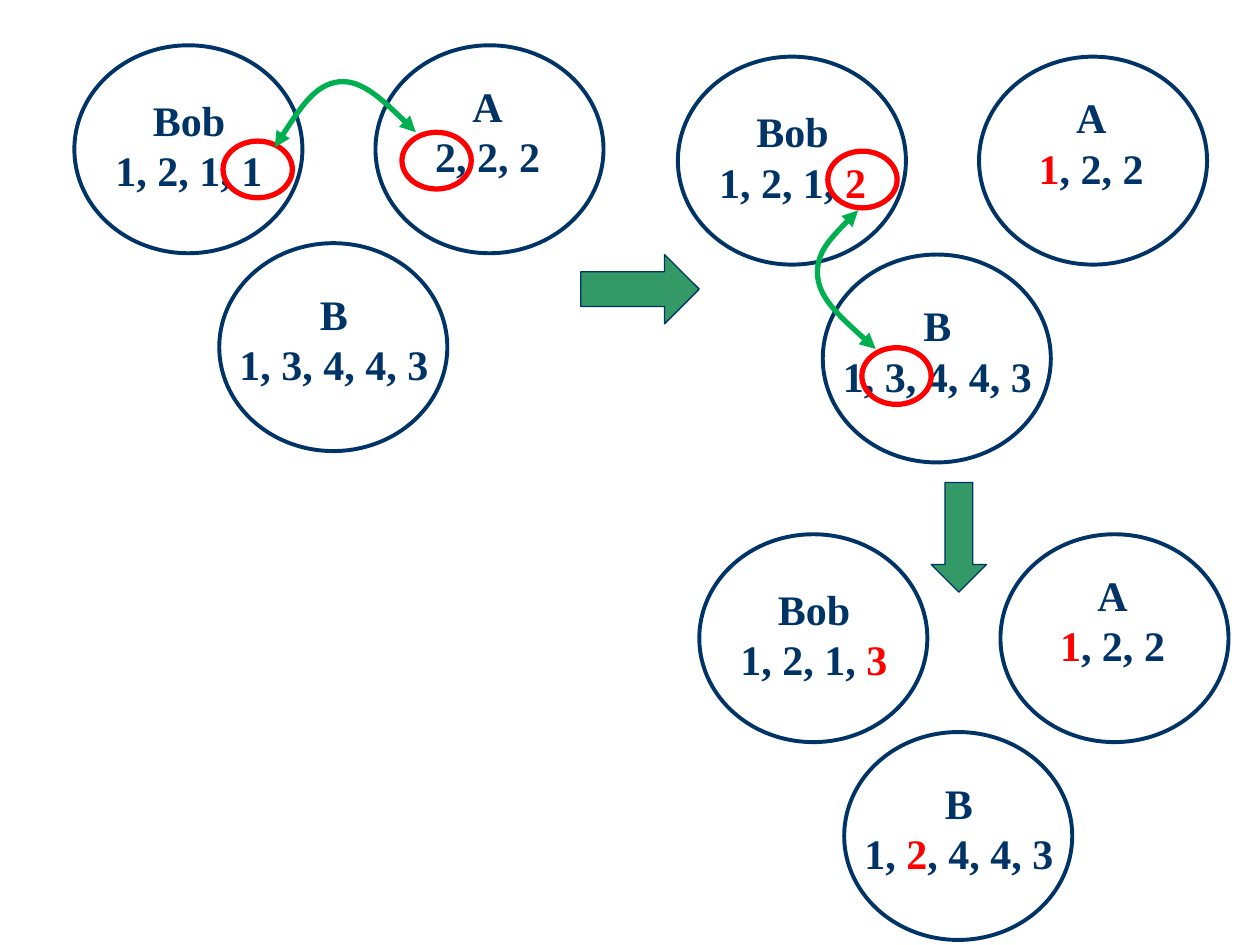
from dataclasses import dataclass

from lxml import etree
from pptx import Presentation
from pptx.dml.color import RGBColor
from pptx.enum.shapes import MSO_SHAPE
from pptx.enum.text import MSO_AUTO_SIZE, MSO_ANCHOR, PP_ALIGN
from pptx.oxml.ns import qn
from pptx.util import Inches, Pt

OVAL = MSO_SHAPE.OVAL
RIGHT = MSO_SHAPE.RIGHT_ARROW
DOWN = MSO_SHAPE.DOWN_ARROW
GROW = MSO_AUTO_SIZE.SHAPE_TO_FIT_TEXT
TOP = MSO_ANCHOR.TOP
CENTER = PP_ALIGN.CENTER


@dataclass(frozen=True)
class Theme:
    """Colours, font and sizes of the slide."""
    navy: RGBColor = RGBColor(0x00, 0x33, 0x66)
    red: RGBColor = RGBColor(0xFF, 0x00, 0x00)
    green: RGBColor = RGBColor(0x00, 0xB0, 0x50)
    arrow: RGBColor = RGBColor(0x33, 0x99, 0x66)
    font: str = "Times New Roman"
    size: float = 24
    thin: float = 0.75
    ring: float = 2.25
    thick: float = 3


THEME = Theme()

NODES = (
    ((0, 0), (0.22, 0.34, 1.38, 0.91)),
    ((2.39, 0), (2.76, 0.23, 1.04, 0.91)),
    ((1.15, 1.57), (1.2, 1.88, 1.72, 0.91)),
)
NAMES = ("Bob", "A", "B")
STAGES = (
    ((0.59, 0.36), ("1, 2, 1, 1", "2, 2, 2", "1, 3, 4, 4, 3")),
    ((5.38, 0.45), ("1, 2, 1, *2*", "*1*, 2, 2", "1, 3, 4, 4, 3")),
    ((5.55, 4.24), ("1, 2, 1, *3*", "*1*, 2, 2", "1, *2*, 4, 4, 3")),
)
MARKS = ((3.19, 1.05), (1.77, 1.12), (6.57, 1.2), (6.84, 2.76))
SWAPS = (
    ((2.18, 1.17), (2.34, 0.92), (2.5, 0.67), (2.69, 0.65),
     (2.87, 0.63), (3.09, 0.84), (3.3, 1.05)),
    ((6.81, 1.67), (6.64, 1.84), (6.47, 2.01), (6.49, 2.2),
     (6.51, 2.38), (6.73, 2.57), (6.95, 2.77)),
)
STEPS = ((RIGHT, (4.61, 2.02, 0.94, 0.55)), (DOWN, (7.39, 3.83, 0.44, 0.87)))


def apply(item, form):
    """Set each attribute named in a dict of format values."""
    for name, value in form.items():
        setattr(item, name, value)


def style(shape, color, width, fill=None):
    """Give a shape its line and fill, without shadow."""
    shape.shadow.inherit = False
    shape.line.color.rgb = color
    shape.line.width = Pt(width)
    if fill is None:
        shape.fill.background()
    else:
        shape.fill.solid()
        shape.fill.fore_color.rgb = fill


def add_form(slide, kind, box, color, width, fill=None):
    """Draw a preset shape in a box given in inches."""
    shape = slide.shapes.add_shape(kind, *map(Inches, box))
    style(shape, color, width, fill)


def add_label(slide, box, lines):
    """Write centred lines, with the parts between stars in red."""
    frame = slide.shapes.add_textbox(*map(Inches, box)).text_frame
    apply(frame, {"word_wrap": False, "auto_size": GROW,
                  "vertical_anchor": TOP})
    for i, line in enumerate(lines):
        para = frame.add_paragraph() if i else frame.paragraphs[0]
        para.alignment = CENTER
        for j, part in enumerate(line.split("*")):
            if part:
                run = para.add_run()
                run.text = part
                apply(run.font, {"name": THEME.font, "size": Pt(THEME.size),
                                 "bold": True})
                run.font.color.rgb = THEME.red if j % 2 else THEME.navy


def add_stage(slide, origin, values):
    """Draw the three named circles of one stage."""
    left, top = origin
    for (spot, box), name, value in zip(NODES, NAMES, values):
        ring = (left + spot[0], top + spot[1], 1.81, 1.65)
        add_form(slide, OVAL, ring, THEME.navy, THEME.ring)
        place = (left + box[0], top + box[1], *box[2:])
        add_label(slide, place, (name, value))


def add_swap(slide, points):
    """Draw a curve with an arrowhead at each end."""
    first, *rest = [tuple(map(Inches, point)) for point in points]
    pen = slide.shapes.build_freeform(*first)
    pen.add_line_segments(rest, close=False)
    shape = pen.convert_to_shape()
    style(shape, THEME.green, THEME.thick)
    legs = shape._element.xpath(".//a:lnTo")
    for i in range(0, len(legs), 3):
        curve = etree.Element(qn("a:cubicBezTo"))
        legs[i].addprevious(curve)
        for leg in legs[i:i + 3]:
            curve.append(leg[0])
            leg.getparent().remove(leg)
    edge = shape.line._get_or_add_ln()
    for end in ("a:headEnd", "a:tailEnd"):
        etree.SubElement(edge, qn(end), type="triangle")


def main():
    """Build the slide and save it."""
    deck = Presentation()
    apply(deck, {"slide_width": Inches(10), "slide_height": Inches(7.5)})
    slide = deck.slides.add_slide(deck.slide_layouts[6])
    for origin, values in STAGES:
        add_stage(slide, origin, values)
    for spot in MARKS:
        add_form(slide, OVAL, (*spot, 0.55, 0.45), THEME.red, THEME.thick)
    for points in SWAPS:
        add_swap(slide, points)
    for kind, box in STEPS:
        add_form(slide, kind, box, THEME.navy, THEME.thin, THEME.arrow)
    deck.save("out.pptx")


if __name__ == "__main__":
    main()
